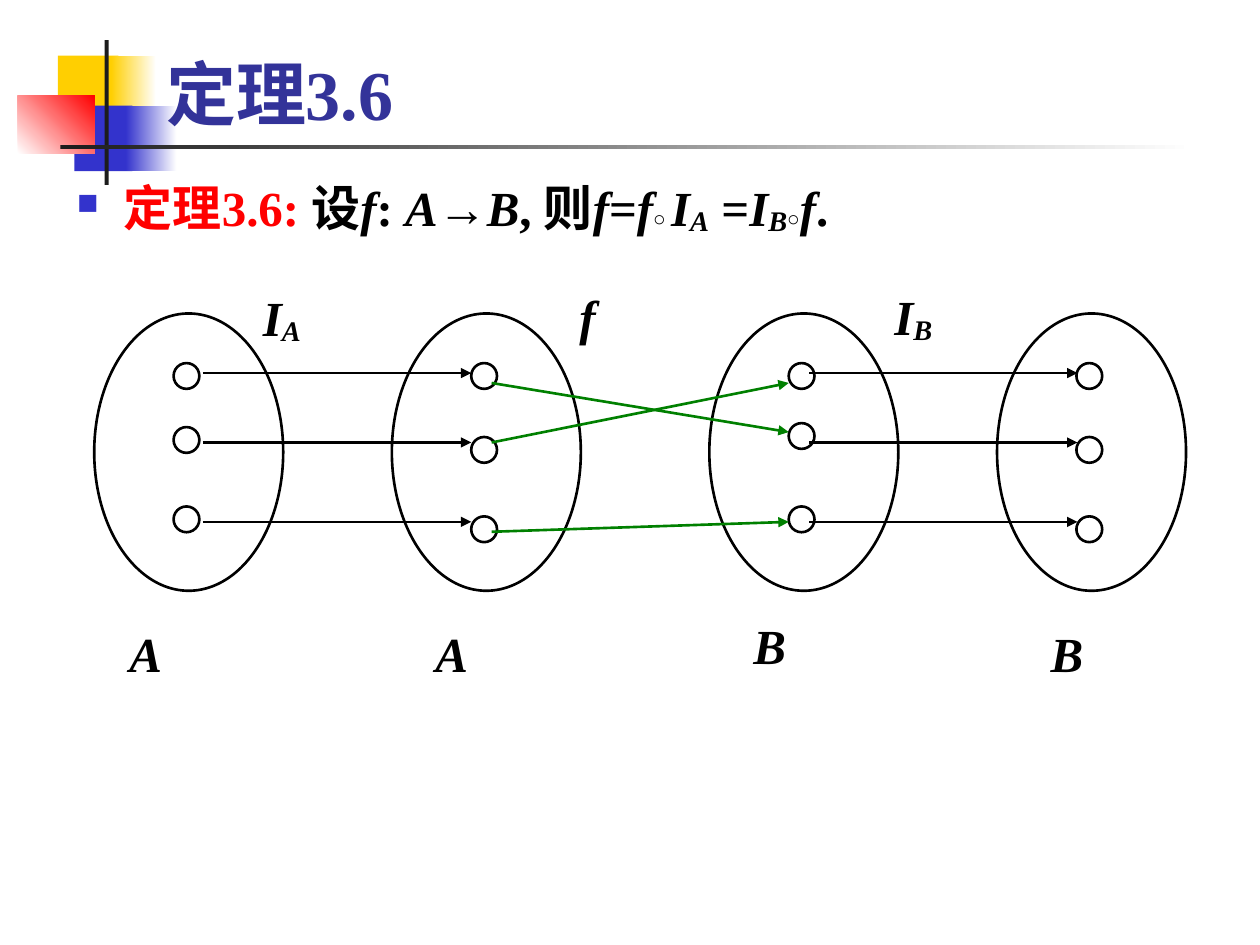
from dataclasses import dataclass
from lxml.etree import SubElement
from pptx import Presentation
from pptx.dml.color import RGBColor
from pptx.enum.shapes import MSO_CONNECTOR, MSO_SHAPE
from pptx.enum.text import MSO_ANCHOR
from pptx.oxml.ns import qn
from pptx.util import Cm, Pt


@dataclass(frozen=True)
class Theme:
    font: str = "Times New Roman"
    title: RGBColor = RGBColor(0x33, 0x33, 0x99)
    ink: RGBColor = RGBColor(0, 0, 0)
    red: RGBColor = RGBColor(0xFF, 0, 0)
    green: RGBColor = RGBColor(0, 0x80, 0)
    yellow: RGBColor = RGBColor(0xFF, 0xCF, 0x01)
    blue: RGBColor = RGBColor(0x33, 0x33, 0xCC)
    bar: RGBColor = RGBColor(0x1C, 0x1C, 0x1C)
    white: RGBColor = RGBColor(0xFF, 0xFF, 0xFF)
    title_size: int = 40
    text_size: int = 28
    ring_size: int = 12
    line: float = 1.5


THEME = Theme()


@dataclass(frozen=True)
class Piece:
    text: str
    italic: bool = False
    size: int = THEME.text_size
    color: RGBColor = THEME.ink
    subscript: bool = False


presentation = Presentation()
presentation.slide_width, presentation.slide_height = Cm(25.4), Cm(19.05)
slide = presentation.slides.add_slide(presentation.slide_layouts[6])
shapes = slide.shapes


def add_text(left, top, width, height, pieces, anchor=MSO_ANCHOR.TOP):
    """Add one paragraph made of pieces and return the paragraph."""
    frame = shapes.add_textbox(Cm(left), Cm(top), Cm(width), Cm(height)).text_frame
    frame.word_wrap = True
    frame.vertical_anchor = anchor
    paragraph = frame.paragraphs[0]
    for piece in pieces:
        run = paragraph.add_run()
        run.text = piece.text
        run.font.name = THEME.font
        run.font.size = Pt(piece.size)
        run.font.bold = True
        run.font.italic = piece.italic
        run.font.color.rgb = piece.color
        if piece.subscript:
            run.font._element.set("baseline", "-10000")
    return paragraph


def add_arrow(x1, y1, x2, y2, color):
    arrow = shapes.add_connector(MSO_CONNECTOR.STRAIGHT, Cm(x1), Cm(y1), Cm(x2), Cm(y2))
    arrow.line.color.rgb = color
    arrow.line.width = Pt(THEME.line)
    SubElement(arrow.line._get_or_add_ln(), qn("a:tailEnd"), type="triangle")
    SubElement(arrow._element.spPr, qn("a:effectLst"))


# Corner ornament: box, start colour, end colour, gradient angle
ORNAMENT = [
    ((1.17, 1.12, 1.22, 1.32), THEME.yellow, None, 0),
    ((2.24, 1.12, 0.91, 1.32), THEME.yellow, THEME.white, 0),
    ((1.5, 2.13, 1.17, 1.32), THEME.blue, None, 0),
    ((2.54, 2.13, 1.02, 1.32), THEME.blue, THEME.white, 0),
    ((0.36, 1.93, 1.55, 1.17), THEME.white, THEME.red, 45),
    ((2.11, 0.81, 0.08, 2.92), THEME.bar, None, 0),
    ((1.22, 2.92, 22.86, 0.08), THEME.bar, THEME.white, 0),
]
for box, start, end, angle in ORNAMENT:
    block = shapes.add_shape(MSO_SHAPE.RECTANGLE, *map(Cm, box))
    block.shadow.inherit = False
    block.line.fill.background()
    if end is None:
        block.fill.solid()
        block.fill.fore_color.rgb = start
    else:
        block.fill.gradient()
        block.fill.gradient_angle = angle
        for stop, color in zip(block.fill.gradient_stops, (start, end)):
            stop.color.rgb = color

# Title and theorem
add_text(3.1, 0.71, 21.64, 2.13,
         [Piece("定理3.6", size=THEME.title_size, color=THEME.title)], MSO_ANCHOR.BOTTOM)

theorem = add_text(1.3, 3.33, 23.19, 13.79, [
    Piece("定理3.6: ", color=THEME.red), Piece("设"),
    Piece("f", True), Piece(": "), Piece("A", True), Piece("→"), Piece("B", True),
    Piece(", 则"), Piece("f", True), Piece("="), Piece("f", True),
    Piece("○ ", size=THEME.ring_size), Piece("I", True), Piece("A", True, subscript=True),
    Piece(" ="), Piece("I", True), Piece("B", True, subscript=True),
    Piece("○", size=THEME.ring_size), Piece("f", True), Piece("."),
])
theorem.line_spacing = 1.1
theorem.space_before = Pt(7)
bullet = theorem._p.get_or_add_pPr()
bullet.set("marL", str(Cm(0.95)))
bullet.set("indent", str(-Cm(0.95)))
SubElement(SubElement(bullet, qn("a:buClr")), qn("a:srgbClr"), val=str(THEME.blue))
SubElement(bullet, qn("a:buSzPct"), val="60000")
SubElement(bullet, qn("a:buChar"), char="■")

# Sets A, A, B, B with their three elements
SETS = [
    (1.9, (7.32, 8.61, 10.21)),
    (7.9, (7.32, 8.81, 10.41)),
    (14.3, (7.32, 8.53, 10.21)),
    (20.1, (7.32, 8.81, 10.41)),
]
for set_left, element_tops in SETS:
    ovals = [(set_left, 6.32, 3.81, 5.59)]
    ovals += [(set_left + 1.6, top, 0.52, 0.52) for top in element_tops]
    for box in ovals:
        oval = shapes.add_shape(MSO_SHAPE.OVAL, *map(Cm, box))
        oval.shadow.inherit = False
        oval.fill.background()
        oval.line.color.rgb = THEME.ink
        oval.line.width = Pt(THEME.line)

# Identity maps run level; f crosses the first two elements
ROWS = (7.52, 8.92, 10.52)
for identity_left in (4.09, 16.31):
    for y in ROWS:
        add_arrow(identity_left, y, identity_left + 5.41, y, THEME.ink)
for y_from, y_to in ((7.72, 8.71), (8.92, 7.72), (10.72, 10.52)):
    add_arrow(9.91, y_from, 15.9, y_to, THEME.green)

# Names of maps and sets: left, top, letter, subscript
LABELS = [
    (5.05, 5.56, "I", "A"), (17.78, 5.54, "I", "B"), (11.43, 5.54, "f", ""),
    (2.36, 12.32, "A", ""), (8.53, 12.32, "A", ""),
    (14.94, 12.17, "B", ""), (20.93, 12.32, "B", ""),
]
for left, top, letter, index in LABELS:
    pieces = [Piece(letter, True)]
    if index:
        pieces.append(Piece(index, True, subscript=True))
    label = add_text(left, top, 3.1, 1.57, pieces)
    label.line_spacing = 1.1
    label.space_before = Pt(7)

presentation.save("out.pptx")
